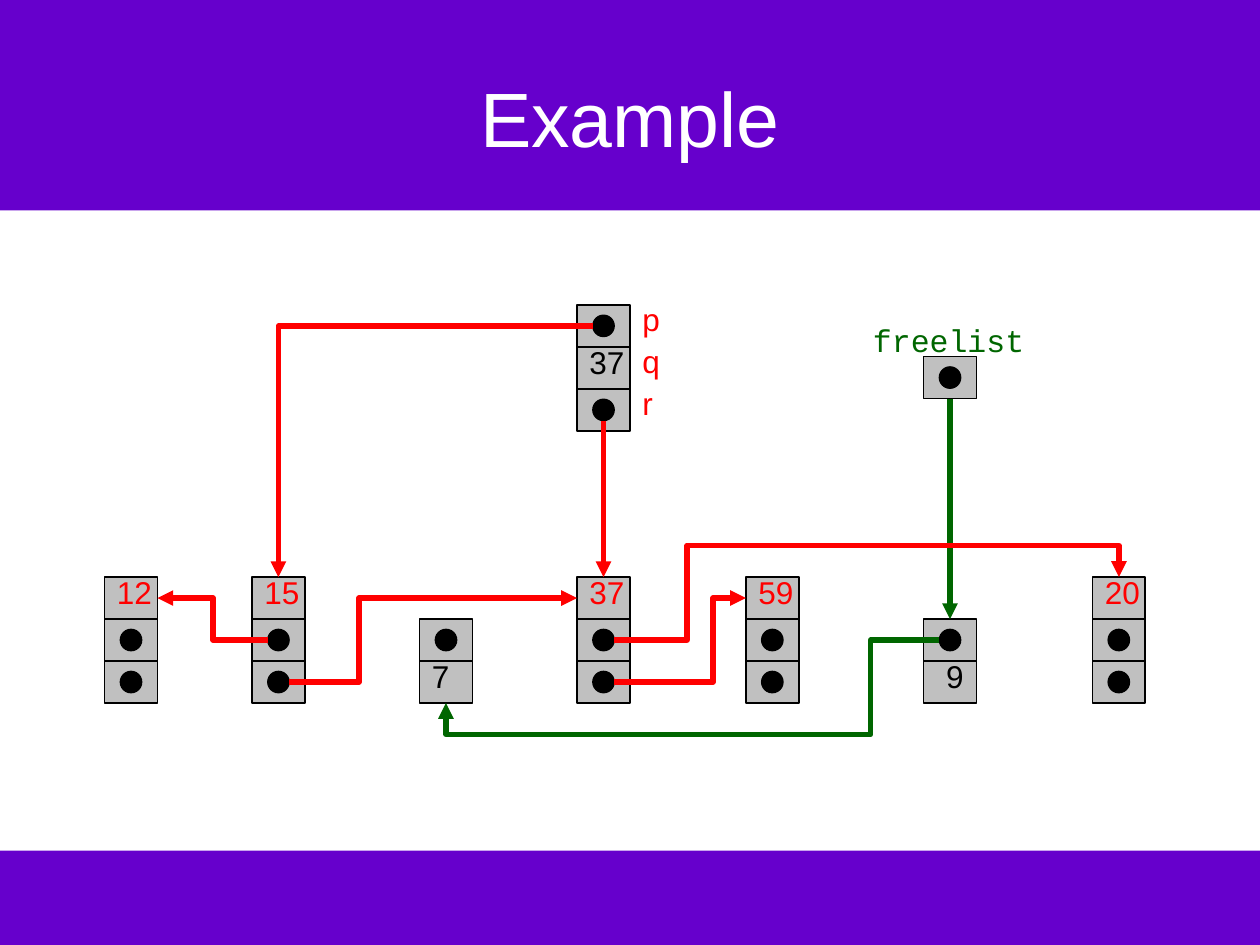
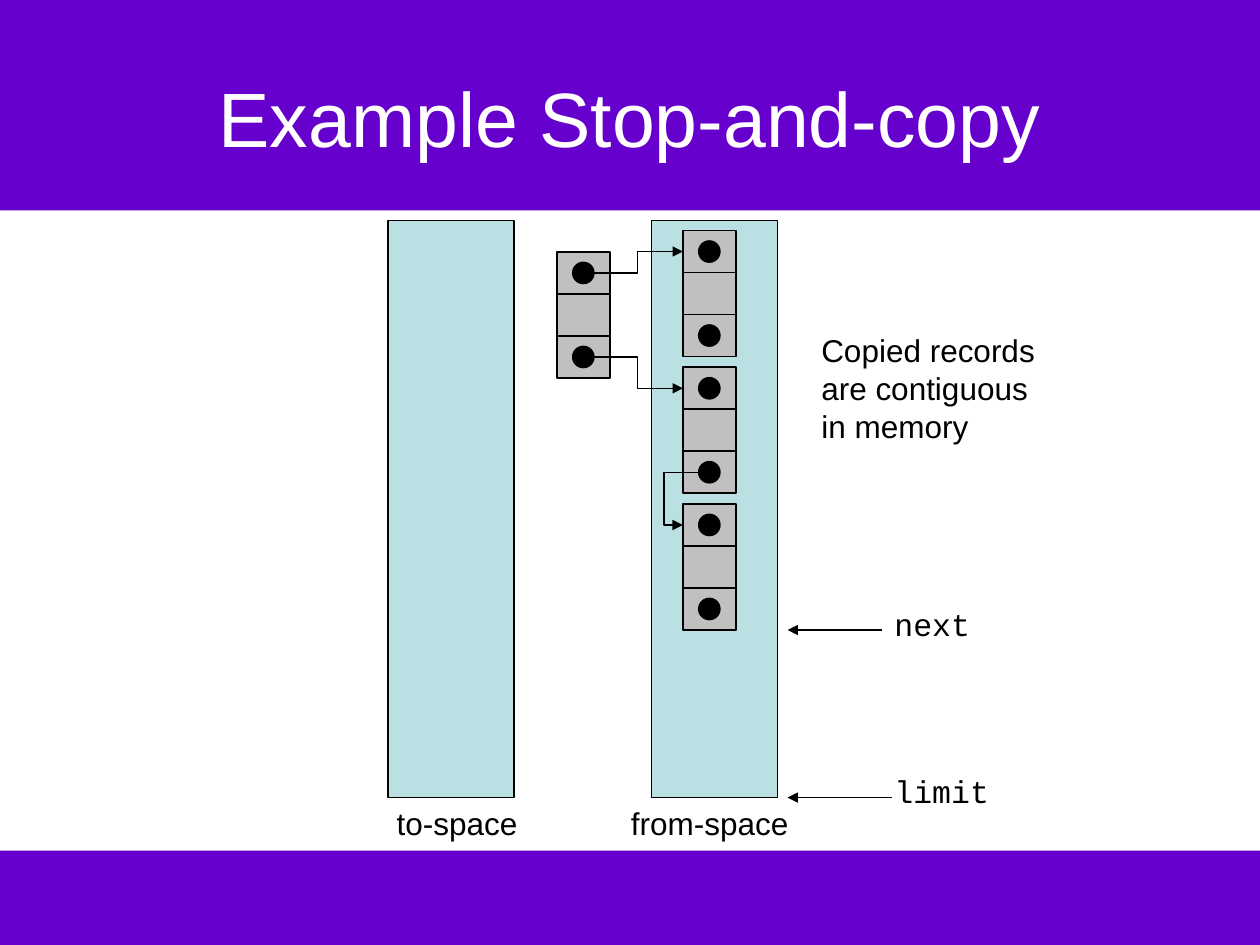
from lxml.etree import SubElement
from pptx import Presentation
from pptx.dml.color import RGBColor
from pptx.enum.shapes import MSO_CONNECTOR as Link, MSO_SHAPE as Form
from pptx.enum.text import MSO_ANCHOR as Anchor, PP_ALIGN as Align
from pptx.oxml.ns import qn
from pptx.util import Inches, Pt

COLORS = {
    "band": "6600CC",
    "title": "FFFFFF",
    "cell": "C0C0C0",
    "space": "BBE0E3",
    "ink": "000000",
    "live": "FF0000",
    "free": "006600",
}
SANS, MONO = "Arial", "Courier New"
CELL_WIDTH, CELL_HEIGHT, DOT_SIZE = 0.42, 1 / 3, 0.17
DOT = "dot"
RECT_SITES = {"top": 0, "left": 1, "bottom": 2, "right": 3}
DOT_SITES = {"top": 0, "left": 2, "bottom": 4, "right": 6}


def rgb(name):
    return RGBColor.from_string(COLORS[name])


def write(frame, text, font=SANS, size=18, color="ink", align=Align.LEFT, anchor=Anchor.TOP):
    frame.word_wrap = True
    frame.vertical_anchor = anchor
    para = frame.paragraphs[0]
    para.alignment = align
    span = para.add_run()
    span.text = text
    span.font.name = font
    span.font.size = Pt(size)
    span.font.color.rgb = rgb(color)


def add_label(page, text, left, top, width=0.58, height=0.4, **style):
    box = page.shapes.add_textbox(Inches(left), Inches(top), Inches(width), Inches(height))
    write(box.text_frame, text, **style)


def add_block(page, form, left, top, width, height, fill, line_width=1.0):
    block = page.shapes.add_shape(form, Inches(left), Inches(top), Inches(width), Inches(height))
    block.shadow.inherit = False
    block.fill.solid()
    block.fill.fore_color.rgb = rgb(fill)
    if line_width:
        block.line.color.rgb = rgb("ink")
        block.line.width = Pt(line_width)
    else:
        block.line.fill.background()
    return block


def add_record(page, left, top, contents, color="ink", indent=0):
    cells, dots = [], {}
    for row, content in enumerate(contents):
        y = top + row * CELL_HEIGHT
        cells.append(add_block(page, Form.RECTANGLE, left, y, CELL_WIDTH, CELL_HEIGHT, "cell"))
        if content == DOT:
            dots[row] = add_block(
                page, Form.OVAL,
                left + (CELL_WIDTH - DOT_SIZE) / 2, y + (CELL_HEIGHT - DOT_SIZE) / 2,
                DOT_SIZE, DOT_SIZE, "ink", 0.75,
            )
        elif content:
            add_label(page, content, left + indent, y - 0.08, color=color)
    return cells, dots


def site_point(shape, side):
    x = {"left": 0, "right": 1}.get(side, 0.5)
    y = {"top": 0, "bottom": 1}.get(side, 0.5)
    return int(shape.left + x * shape.width), int(shape.top + y * shape.height)


def style_arrow(arrow, color, width):
    arrow.line.color.rgb = rgb(color)
    arrow.line.width = Pt(width)
    SubElement(arrow.line._get_or_add_ln(), qn("a:tailEnd"), type="triangle")
    SubElement(arrow._element.spPr, qn("a:effectLst"))


def glue(arrow, tag, shape, side):
    sites = DOT_SITES if shape.auto_shape_type == Form.OVAL else RECT_SITES
    holder = arrow._element.find(".//" + qn("p:cNvCxnSpPr"))
    SubElement(holder, qn(tag), id=str(shape.shape_id), idx=str(sites[side]))


def add_pointer(page, source, source_side, target, target_side,
                bend_x=None, bend_y=None, color="ink", width=0.75):
    start = site_point(source, source_side)
    end = site_point(target, target_side)
    straight = start[0] == end[0]
    arrow = page.shapes.add_connector(Link.STRAIGHT if straight else Link.ELBOW, *start, *end)
    glue(arrow, "a:stCxn", source, source_side)
    glue(arrow, "a:endCxn", target, target_side)
    if not straight:
        bends = [
            (Inches(bend) - first) / (last - first)
            for bend, first, last in zip((bend_x, bend_y), start, end)
            if bend is not None
        ]
        shape = arrow._element.spPr.find(qn("a:prstGeom"))
        shape.set("prst", f"bentConnector{2 + len(bends)}")
        guides = shape.find(qn("a:avLst"))
        for number, bend in enumerate(bends, 1):
            SubElement(guides, qn("a:gd"), name=f"adj{number}", fmla=f"val {round(bend * 100000)}")
    style_arrow(arrow, color, width)


def add_marker(page, text, start, y):
    arrow = page.shapes.add_connector(
        Link.STRAIGHT, Inches(start), Inches(y), Inches(6.25), Inches(y))
    style_arrow(arrow, "ink", 0.75)
    add_label(page, text, 7, y - 0.25, 1.08, font=MONO)


def add_page(deck, title):
    page = deck.slides.add_slide(deck.slide_layouts[5])
    holder = page.shapes.title
    holder.left, holder.top = Inches(0.5), Inches(0.3)
    holder.width, holder.height = Inches(9), Inches(1.25)
    write(holder.text_frame, title, size=44, color="title", align=Align.CENTER, anchor=Anchor.MIDDLE)
    return page


def move_bands_to_master(deck, page):
    tree = deck.slide_master.shapes._spTree
    for top, height in ((0, 1.67), (6.75, 0.75)):
        band = add_block(page, Form.RECTANGLE, 0, top, 10, height, "band", 0)
        tree.insert(2, band._element)


def draw_free_list(page):
    top = 4.58
    trees = {
        value: add_record(page, left, top, (value, DOT, DOT), color="live")
        for value, left in (("12", 0.83), ("15", 2), ("37", 4.58), ("59", 5.92), ("20", 8.67))
    }
    seven, _ = add_record(page, 3.33, top + CELL_HEIGHT, (DOT, "7"))
    nine, nine_dots = add_record(page, 7.33, top + CELL_HEIGHT, (DOT, "9"), indent=0.08)
    _, roots = add_record(page, 4.58, 2.42, (DOT, "37", DOT))
    free_head, _ = add_record(page, 7.33, 2.83, (DOT,))

    for row, name in enumerate("pqr"):
        add_label(page, name, 5, 2.33 + row * CELL_HEIGHT, 0.4, color="live")
    add_label(page, "freelist", 6.83, 2.5, 1.58, font=MONO, color="free")

    heads = {value: cells[0] for value, (cells, _) in trees.items()}
    dots = {value: record_dots for value, (_, record_dots) in trees.items()}
    live = {"color": "live", "width": 3}
    free = {"color": "free", "width": 3}
    add_pointer(page, dots["15"][1], "left", heads["12"], "right", 1.69, **live)
    add_pointer(page, roots[0], "left", heads["15"], "top", **live)
    add_pointer(page, roots[2], "bottom", heads["37"], "top", **live)
    add_pointer(page, dots["15"][2], "right", heads["37"], "left", 2.85, **live)
    add_pointer(page, free_head[0], "bottom", nine[0], "top", **free)
    add_pointer(page, nine_dots[0], "left", seven[1], "bottom", 6.91, 5.83, **free)
    add_pointer(page, dots["37"][1], "right", heads["20"], "top", 5.45, 4.33, **live)
    add_pointer(page, dots["37"][2], "right", heads["59"], "left", 5.66, **live)


def draw_stop_and_copy(page):
    for name, left, label_left in (("to-space", 3.08, 3.05), ("from-space", 5.17, 4.91)):
        add_block(page, Form.RECTANGLE, left, 1.75, 1, 4.58, "space", 0.75)
        add_label(page, name, label_left, 6.33, 1.6)

    fields = (DOT, None, DOT)
    _, roots = add_record(page, 4.42, 2, fields)
    copies = [add_record(page, 5.42, 1.83 + 1.085 * index, fields) for index in range(3)]
    first, second, third = (cells[0] for cells, _ in copies)
    add_pointer(page, copies[1][1][2], "left", third, "left", 5.27)
    add_pointer(page, roots[0], "right", first, "left", 5.06)
    add_pointer(page, roots[2], "right", second, "left", 5.06)

    add_marker(page, "next", 7, 5)
    add_marker(page, "limit", 7.08, 6.33)
    add_label(page, "Copied records are contiguous in memory", 6.42, 2.58, 2, 1)


def main():
    deck = Presentation()
    deck.slide_width, deck.slide_height = Inches(10), Inches(7.5)
    example = add_page(deck, "Example")
    move_bands_to_master(deck, example)
    draw_free_list(example)
    draw_stop_and_copy(add_page(deck, "Example Stop-and-copy"))
    deck.save("out.pptx")


if __name__ == "__main__":
    main()
